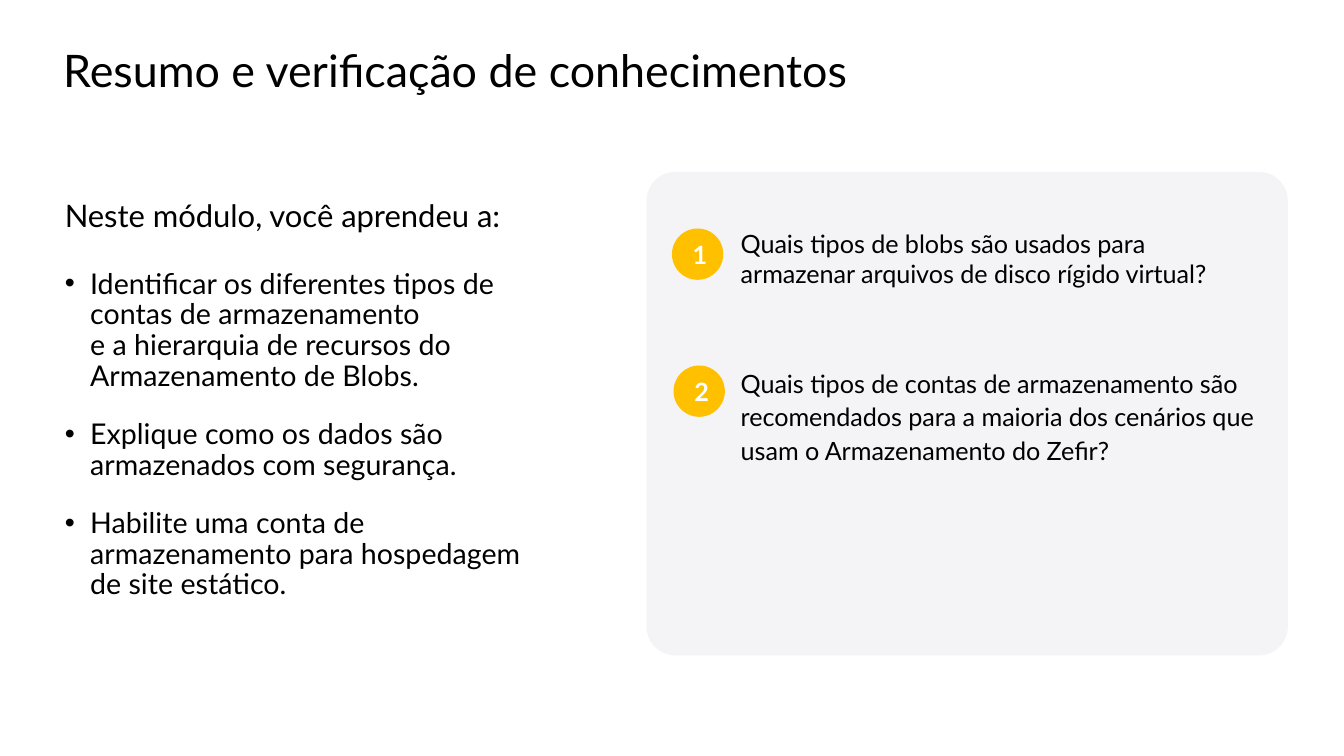
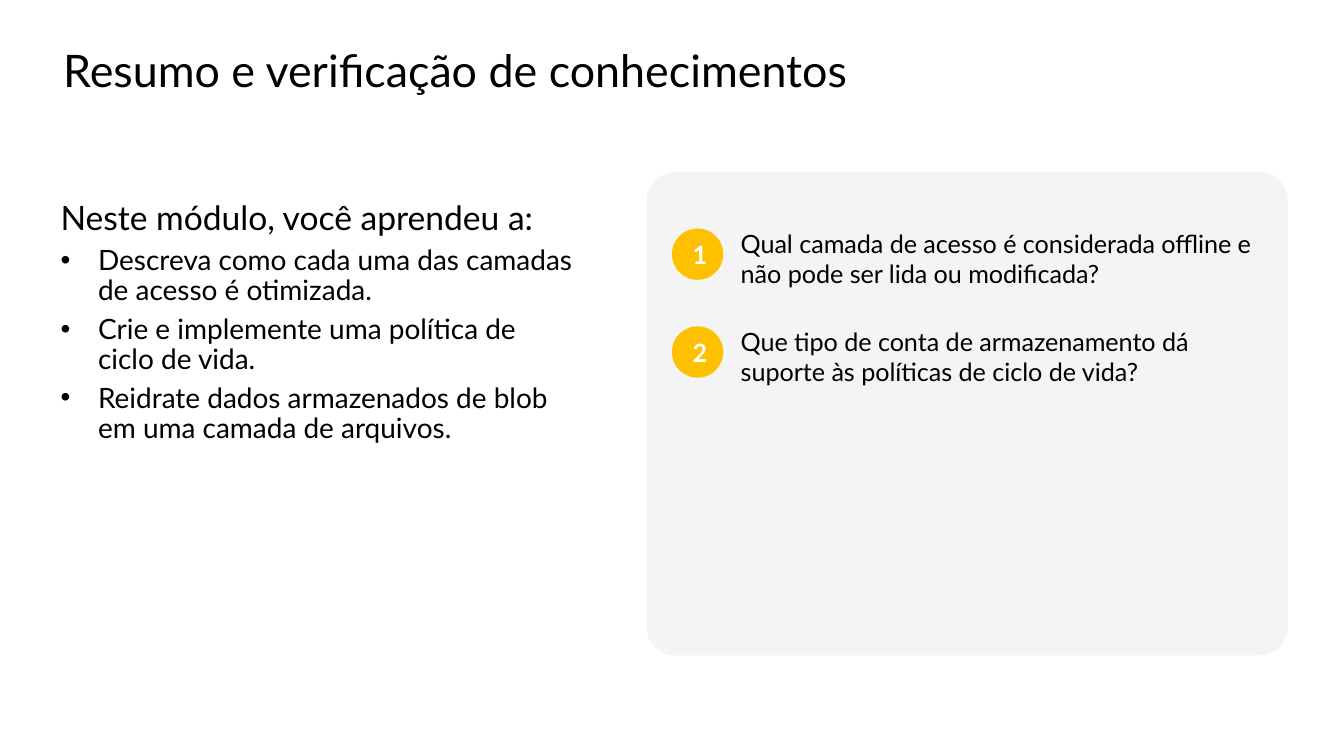
from copy import deepcopy
from dataclasses import dataclass

from lxml import etree
from pptx import Presentation
from pptx.dml.color import RGBColor
from pptx.enum.shapes import MSO_SHAPE
from pptx.enum.text import MSO_ANCHOR, MSO_AUTO_SIZE, PP_ALIGN
from pptx.oxml.ns import qn
from pptx.util import Cm, Pt

ROUND, OVAL = MSO_SHAPE.ROUNDED_RECTANGLE, MSO_SHAPE.OVAL
MIDDLE, TOP = MSO_ANCHOR.MIDDLE, MSO_ANCHOR.TOP
LEFT, CENTER = PP_ALIGN.LEFT, PP_ALIGN.CENTER
FIXED = MSO_AUTO_SIZE.NONE


@dataclass(frozen=True)
class Theme:
    font: str = "Lato"
    ink: str = "000000"
    white: str = "FFFFFF"
    panel: str = "F4F3F5"
    gold: str = "FFC000"
    title: float = 24
    quiz: float = 13.5


def write(par, text, size, font, color, bold=False, align=LEFT,
          line=1.0, before=0, after=0, indent=0, bullet=False):
    """Fill one paragraph; a newline in the text becomes a line break."""
    par.text = text
    par.alignment = align
    par.line_spacing = line
    par.space_before, par.space_after = Pt(before), Pt(after)
    for run in par.runs:
        run.font.name, run.font.size, run.font.bold = font, Pt(size), bold
        run.font.color.rgb = RGBColor.from_string(color)
    # Line breaks take the same size as the text around them
    for brk in par._p.findall(qn("a:br")):
        brk.append(deepcopy(par.runs[0]._r.rPr))
    # Hanging indent and bullet
    props = par._p.get_or_add_pPr()
    props.set("marL", str(Cm(indent)))
    props.set("indent", str(-Cm(indent)))
    if bullet:
        face = etree.SubElement(props, qn("a:buFont"))
        face.set("typeface", "Arial")
        etree.SubElement(props, qn("a:buChar")).set("char", "•")
    else:
        etree.SubElement(props, qn("a:buNone"))


class Deck:
    def __init__(self, theme):
        self.theme = theme
        self.prs = Presentation()
        self.prs.slide_width, self.prs.slide_height = Cm(25.4), Cm(14.29)
        self.slide = None

    def start(self, title):
        """Add a slide with the shared title and panel."""
        self.slide = self.prs.slides.add_slide(self.prs.slide_layouts[1])
        self.shape(ROUND, 12.22, 3.25, 12.12, 9.14,
                   self.theme.panel).adjustments[0] = 0.06
        frame = self.place(self.slide.shapes.title, 0.94, 0, 21.89, 2.77, MIDDLE)
        self.text(frame.paragraphs[0], title, self.theme.title, line=0.9)

    def text(self, par, words, size, color=None, **style):
        write(par, words, size, self.theme.font, color or self.theme.ink, **style)

    def place(self, holder, left, top, width, height, anchor):
        """Move a placeholder and return its text frame."""
        holder.left, holder.top = Cm(left), Cm(top)
        holder.width, holder.height = Cm(width), Cm(height)
        frame = holder.text_frame
        frame.word_wrap, frame.auto_size = True, FIXED
        frame.vertical_anchor = anchor
        return frame

    def shape(self, kind, left, top, width, height, fill):
        form = self.slide.shapes.add_shape(
            kind, Cm(left), Cm(top), Cm(width), Cm(height))
        form.shadow.inherit = False
        form.fill.solid()
        form.fill.fore_color.rgb = RGBColor.from_string(fill)
        form.line.fill.background()
        return form

    def goals(self, box, head, items, lead, point):
        """Heading and bulleted list in the body placeholder."""
        frame = self.place(self.slide.placeholders[1], *box, TOP)
        self.text(frame.paragraphs[0], head, line=0.9, **lead)
        for item in items:
            self.text(frame.add_paragraph(), item, line=0.9, after=4.5,
                      bullet=True, **point)

    def quiz(self, num, words, top, left=12.7, height=1.5, **style):
        """Numbered badge with its question."""
        badge = self.shape(OVAL, left, top, 0.97, 0.97, self.theme.gold)
        badge.text_frame.vertical_anchor = MIDDLE
        self.text(badge.text_frame.paragraphs[0], str(num), self.theme.quiz,
                  self.theme.white, bold=True, align=CENTER)
        box = self.slide.shapes.add_textbox(
            Cm(14), Cm(top), Cm(9.73), Cm(height))
        frame = box.text_frame
        frame.word_wrap = True
        frame.margin_left = frame.margin_right = 0
        frame.margin_top = frame.margin_bottom = 0
        self.text(frame.paragraphs[0], words, self.theme.quiz,
                  **{"after": 4.5, **style})


def main():
    deck = Deck(Theme())
    title = "Resumo e verificação de conhecimentos"
    head = "Neste módulo, você aprendeu a:"
    first = 4.32

    # Slide 1: storage accounts
    deck.start(title)
    deck.goals(
        (0.97, 3.66, 9.37, 7.85), head,
        ["Identificar os diferentes tipos de contas de armazenamento \n"
         "e a hierarquia de recursos do Armazenamento de Blobs.",
         "Explique como os dados são armazenados com segurança.",
         "Habilite uma conta de armazenamento para hospedagem de site estático."],
        lead={"size": 16.6, "before": 10, "after": 9},
        point={"size": 15.3, "before": 10, "indent": 0.48})
    deck.quiz(1, "Quais tipos de blobs são usados para armazenar arquivos "
              "de disco rígido virtual?", first)
    deck.quiz(2, "Quais tipos de contas de armazenamento são recomendados para "
              "a maioria dos cenários que usam o Armazenamento do Zefir?",
              6.91, left=12.73, height=2.18, line=1.1, after=6)

    # Slide 2: access tiers and life cycle
    deck.start(title)
    deck.goals(
        (0.89, 3.68, 10.46, 7.85), head,
        ["Descreva como cada uma das camadas de acesso é otimizada.",
         "Crie e implemente uma política de \nciclo de vida.",
         "Reidrate dados armazenados de blob \nem uma camada de arquivos."],
        lead={"size": 18, "after": 4.5},
        point={"size": 15, "indent": 0.71})
    deck.quiz(1, "Qual camada de acesso é considerada offline e não pode ser "
              "lida ou modificada?", first)
    deck.quiz(2, "Que tipo de conta de armazenamento dá suporte às políticas "
              "de ciclo de vida?", 6.17)

    deck.prs.save("out.pptx")


if __name__ == "__main__":
    main()
